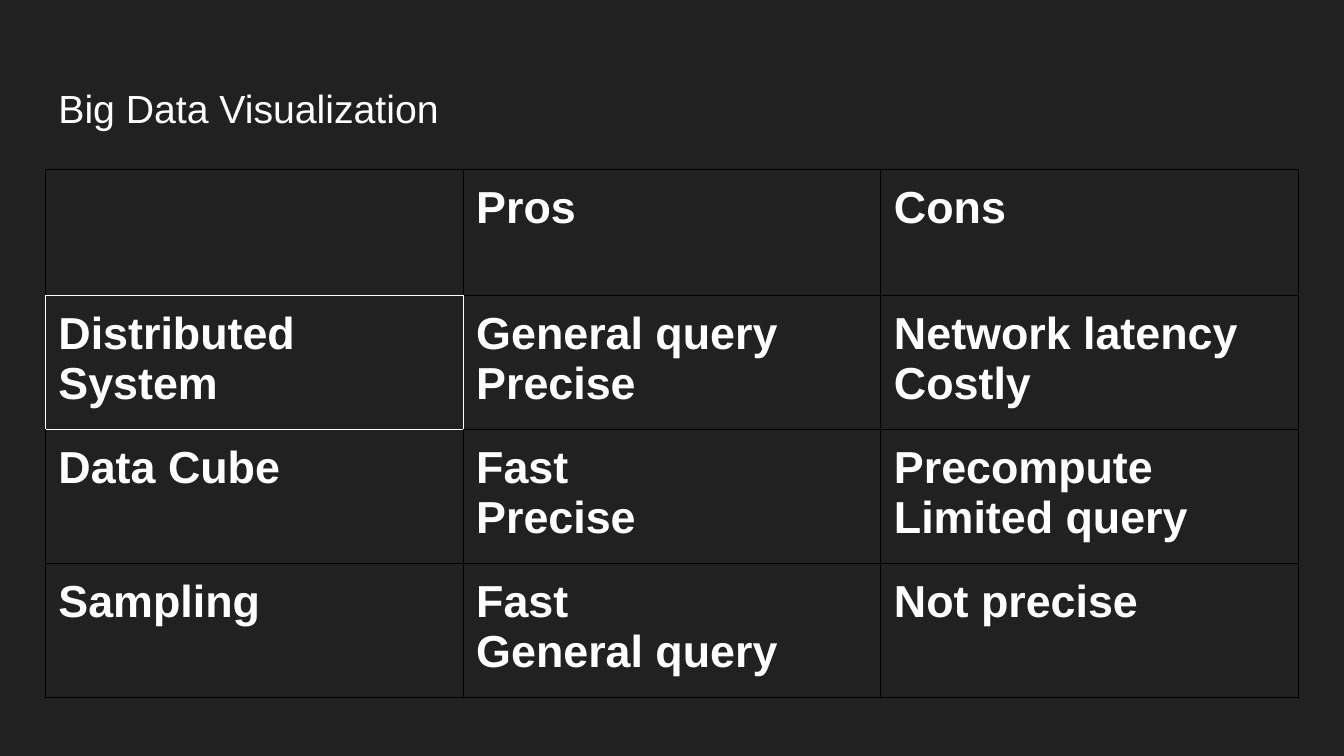
from lxml.etree import SubElement
from pptx import Presentation
from pptx.dml.color import RGBColor
from pptx.enum.text import MSO_ANCHOR
from pptx.oxml.ns import qn
from pptx.util import Inches, Pt

TITLE = "Big Data Visualization"
ROWS = [
    ("", "Pros", "Cons"),
    ("Distributed System", "General query\nPrecise", "Network latency\nCostly"),
    ("Data Cube", "Fast\nPrecise", "Precompute\nLimited query"),
    ("Sampling", "Fast\nGeneral query", "Not precise"),
]
FOCUS = (1, 0)  # row and column of the cell outlined in white
DARK, WHITE, BLACK = "212121", "FFFFFF", "000000"
WIDE, HIGH = 13.33, 7.5
LEFT, PAD = 0.45, 0.13
SPAN = WIDE - 2 * LEFT
HEAD, BODY = 1.25, 1.33
SIDES = {"lnL": (0, -1), "lnR": (0, 1), "lnT": (-1, 0), "lnB": (1, 0)}


def color(code):
    return RGBColor.from_string(code)


def style(frame, size, bold):
    for para in frame.paragraphs:
        for run in para.runs:
            font = run.font
            font.name, font.size, font.bold = "Arial", Pt(size), bold
            font.color.rgb = color(WHITE)


def pad(box):
    box.margin_left = box.margin_right = Inches(PAD)
    box.margin_top = box.margin_bottom = Inches(PAD)


def border(cell, row, col):
    """Draw four edges, white where they touch the focus cell."""
    props = cell._tc.get_or_add_tcPr()
    for tag, (down, over) in SIDES.items():
        lit = FOCUS in ((row, col), (row + down, col + over))
        line = SubElement(props, qn("a:" + tag), w=str(Pt(0.75)))
        fill = SubElement(line, qn("a:solidFill"))
        SubElement(fill, qn("a:srgbClr"), val=WHITE if lit else BLACK)


def main():
    deck = Presentation()
    deck.slide_width, deck.slide_height = Inches(WIDE), Inches(HIGH)
    slide = deck.slides.add_slide(deck.slide_layouts[6])
    back = slide.background.fill
    back.solid()
    back.fore_color.rgb = color(DARK)

    title = slide.shapes.add_textbox(
        Inches(LEFT), Inches(0.65), Inches(SPAN), Inches(0.84)).text_frame
    title.word_wrap = True
    title.vertical_anchor = MSO_ANCHOR.MIDDLE
    pad(title)
    title.text = TITLE
    style(title, 28, False)

    tall = [HEAD] + [BODY] * (len(ROWS) - 1)
    table = slide.shapes.add_table(
        len(ROWS), len(ROWS[0]), Inches(LEFT), Inches(1.68),
        Inches(SPAN), Inches(sum(tall))).table
    table.first_row = table.horz_banding = False
    for row, texts in enumerate(ROWS):
        table.rows[row].height = Inches(tall[row])
        for col, text in enumerate(texts):
            cell = table.cell(row, col)
            pad(cell)
            border(cell, row, col)
            cell.fill.background()
            cell.text_frame.text = text
            style(cell.text_frame, 32, True)

    deck.save("out.pptx")


if __name__ == "__main__":
    main()
